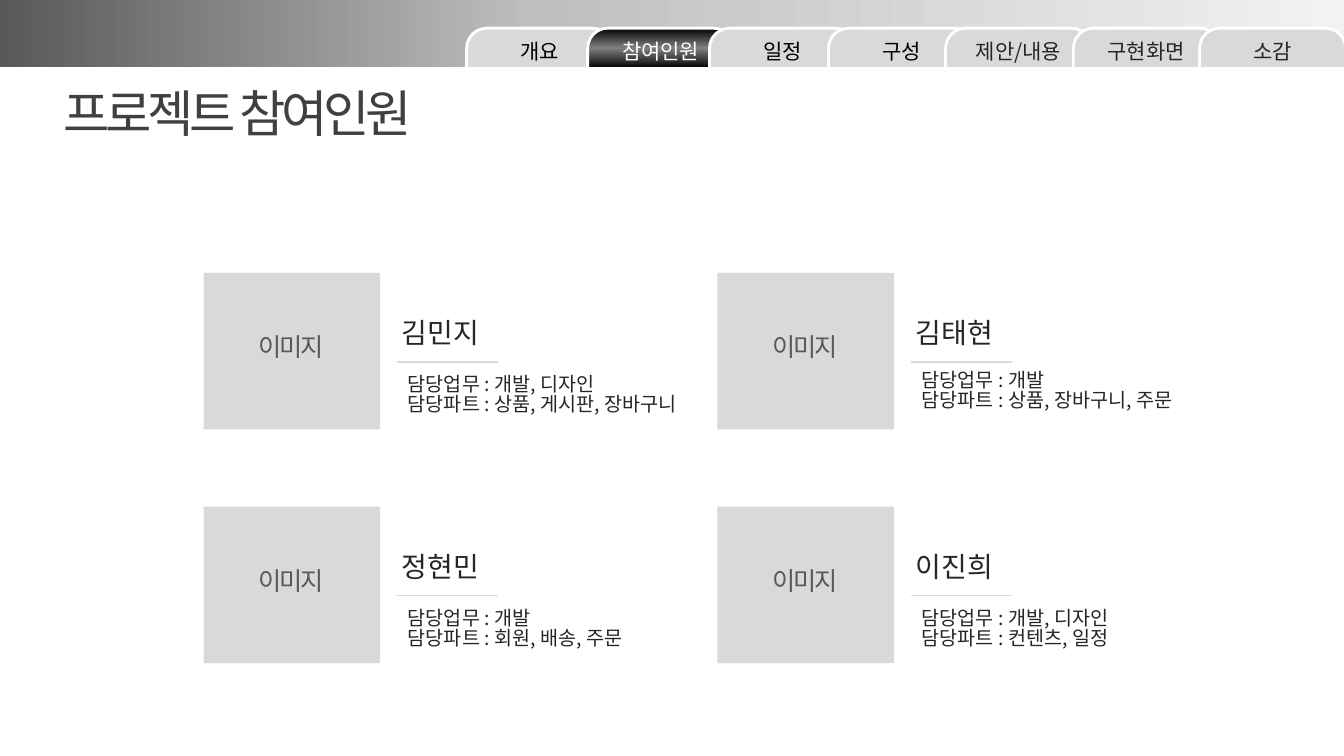
from lxml.etree import SubElement
from pptx import Presentation
from pptx.dml.color import RGBColor
from pptx.enum.shapes import MSO_CONNECTOR, MSO_SHAPE
from pptx.enum.text import MSO_ANCHOR, MSO_AUTO_SIZE, PP_ALIGN
from pptx.oxml.ns import qn
from pptx.util import Cm, Pt

FONT = "Noto Sans CJK KR"
BLACK = RGBColor(0x00, 0x00, 0x00)
INK = RGBColor(0x26, 0x26, 0x26)
DARK = RGBColor(0x40, 0x40, 0x40)
SLATE = RGBColor(0x59, 0x59, 0x59)
GRAY = RGBColor(0x80, 0x80, 0x80)
SILVER = RGBColor(0xBF, 0xBF, 0xBF)
PALE = RGBColor(0xD9, 0xD9, 0xD9)
MIST = RGBColor(0xF2, 0xF2, 0xF2)
WHITE = RGBColor(0xFF, 0xFF, 0xFF)

BAND = [(0, SLATE), (40, SILVER), (100, MIST)]
GLOSS = [(0, BLACK), (51, GRAY), (100, BLACK)]
TABS = [
    (11.76, "개요", BLACK),
    (14.81, "참여인원", WHITE),
    (17.88, "일정", BLACK),
    (20.88, "구성", BLACK),
    (23.83, "제안/내용", INK),
    (27.05, "구현화면", INK),
    (30.23, "소감", INK),
]
ACTIVE = "참여인원"
TEAM = [
    ("김민지", "개발, 디자인", "상품, 게시판, 장바구니", 2.64, 9.17),
    ("김태현", "개발", "상품, 장바구니, 주문", 2.54, 8.66),
    ("정현민", "개발", "회원, 배송, 주문", 2.64, 7.59),
    ("이진희", "개발, 디자인", "컨텐츠, 일정", 2.64, 6.86),
]


def write(frame, text, size, color, align=PP_ALIGN.LEFT, track=0, gap=None):
    """Fill a text frame with one paragraph per line of text."""
    for i, line in enumerate(text.split("\n")):
        para = frame.add_paragraph() if i else frame.paragraphs[0]
        para.alignment = align
        if gap:
            para.line_spacing = gap
        run = para.add_run()
        run.text = line
        run.font.size = Pt(size)
        run.font.color.rgb = color
        run.font.name = FONT
        props = run._r.get_or_add_rPr()
        SubElement(props, qn("a:ea"), typeface=FONT)
        if track:
            props.set("spc", str(round(track * 100)))


def add_text(slide, x, y, w, h, text, grow=False, **style):
    """Add a text box, either growing with its text or wrapped and centred."""
    box = slide.shapes.add_textbox(Cm(x), Cm(y), Cm(w), Cm(h))
    frame = box.text_frame
    frame.word_wrap = not grow
    if grow:
        frame.auto_size = MSO_AUTO_SIZE.SHAPE_TO_FIT_TEXT
    else:
        frame.vertical_anchor = MSO_ANCHOR.MIDDLE
    write(frame, text, **style)


def add_block(slide, x, y, w, h, fill=PALE, kind=MSO_SHAPE.RECTANGLE):
    """Add a plain filled shape without outline or shadow."""
    block = slide.shapes.add_shape(kind, Cm(x), Cm(y), Cm(w), Cm(h))
    block.shadow.inherit = False
    block.fill.solid()
    block.fill.fore_color.rgb = fill
    block.line.fill.background()
    return block


def blend(shape, stops, angle):
    """Give a shape a linear gradient through the given stops."""
    shape.fill.gradient()
    shape.fill.gradient_angle = angle
    group = shape._element.spPr.find(qn("a:gradFill")).find(qn("a:gsLst"))
    group.clear()
    for place, color in stops:
        stop = SubElement(group, qn("a:gs"), pos=str(place * 1000))
        SubElement(stop, qn("a:srgbClr"), val=str(color))


def add_rule(slide, x, y, w):
    """Add a thin horizontal line."""
    rule = slide.shapes.add_connector(
        MSO_CONNECTOR.STRAIGHT, Cm(x), Cm(y), Cm(x + w), Cm(y))
    rule.line.color.rgb = PALE
    rule.line.width = Pt(1)
    SubElement(rule._element.spPr, qn("a:effectLst"))


def add_tab(slide, x, text, color):
    """Add one navigation tab."""
    tab = add_block(slide, x, 0.71, 3.68, 1.02,
                    kind=MSO_SHAPE.ROUND_2_SAME_RECTANGLE)
    tab.adjustments[0] = 0.5
    tab.adjustments[1] = 0
    tab.line.color.rgb = WHITE
    tab.line.width = Pt(2)
    if text == ACTIVE:
        blend(tab, GLOSS, 90)
    frame = tab.text_frame
    frame.vertical_anchor = MSO_ANCHOR.MIDDLE
    frame.margin_top = frame.margin_bottom = 0
    write(frame, text, 15, color, align=PP_ALIGN.CENTER)


def add_card(slide, x, y, name, task, part, drop, width):
    """Add one team member with photo area, name and duties."""
    add_block(slide, x, y, 4.45, 3.94)
    add_text(slide, x + 1.14, y + 1.45, 2.16, 1.02, "이미지", grow=True,
             size=18, color=SLATE, track=-1.5, gap=0.88)
    add_text(slide, x + 4.75, y + 1.04, 4.6, 0.91, name, size=20, color=INK)
    add_rule(slide, x + 4.88, y + 2.24, 2.55)
    add_text(slide, x + 4.9, y + drop, width, 0.91,
             f"담당업무 : {task}\n담당파트 : {part}",
             size=14, color=INK, gap=0.83)


def main():
    """Build the team slide and save it."""
    deck = Presentation()
    deck.slide_width, deck.slide_height = Cm(33.87), Cm(19.05)
    slide = deck.slides.add_slide(deck.slide_layouts[6])
    band = add_block(slide, 0, -0.03, 33.87, 1.73)
    blend(band, BAND, 0)
    add_text(slide, 1.35, 2.13, 10.19, 1.8, "프로젝트 참여인원", grow=True,
             size=36, color=DARK, track=-3, gap=0.88)
    for i, member in enumerate(TEAM):
        row, col = divmod(i, 2)
        add_card(slide, 5.13 + 12.95 * col, 6.88 + 5.89 * row, *member)
    for tab in TABS:
        add_tab(slide, *tab)
    deck.save("out.pptx")


if __name__ == "__main__":
    main()
